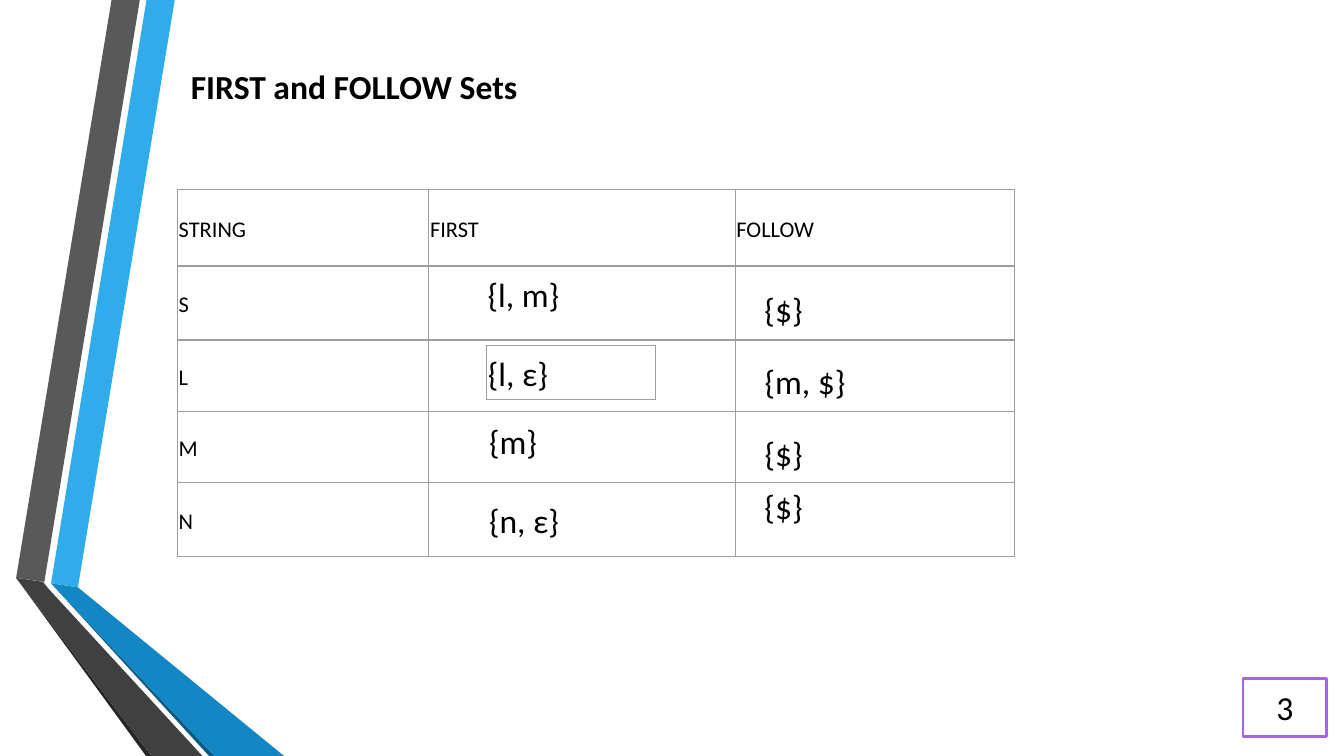
from dataclasses import dataclass

from lxml.etree import SubElement
from pptx import Presentation
from pptx.dml.color import RGBColor
from pptx.enum.shapes import MSO_SHAPE
from pptx.enum.text import MSO_ANCHOR, PP_ALIGN
from pptx.oxml.ns import qn
from pptx.util import Inches, Pt


@dataclass(frozen=True)
class Theme:
    font: str = "Calibri"
    text: str = "000000"
    paper: str = "FFFFFF"
    grid: str = "9E9E9E"
    badge: str = "A666E1"
    blue: str = "30ACEC"
    blue_mid: str = "1287C3"
    blue_dark: str = "0C5A82"
    gray: str = "595959"
    gray_mid: str = "404040"
    gray_dark: str = "262626"
    large: int = 18
    small: int = 12


THEME = Theme()

# Outlines in inches from the top left corner of the ribbon, back to front
RIBBONS = [
    (THEME.blue, [(0.26, 4.34), (0.46, 4.37), (1.18, 0), (0.97, 0)]),
    (THEME.gray, [(0.92, 0), (0.71, 0), (0, 4.3), (0.21, 4.33)]),
    (THEME.gray_dark, [(0, 4.3), (0.97, 5.63), (1.01, 5.63)]),
    (THEME.blue_dark, [(0.26, 4.34), (1.44, 5.63), (1.48, 5.63)]),
    (THEME.blue_mid, [(0.26, 4.34), (1.48, 5.63), (2, 5.63), (0.46, 4.37)]),
    (THEME.gray_mid, [(1.39, 5.63), (0.24, 4.38), (0.2, 4.33), (0, 4.3), (1.01, 5.63)]),
]

COLUMNS = [1.87, 2.28, 2.08]
ROWS = [0.57, 0.55, 0.53, 0.53, 0.55]
SYMBOLS = [["STRING", "FIRST", "FOLLOW"]] + [[name, "", ""] for name in "SLMN"]

# Set text with left, top and width relative to the main table
SETS = [
    ("{l, m}", 2.21, 0.58, 1.02),
    ("{m}", 2.22, 1.67, 1.35),
    ("{n, ε}", 2.22, 2.26, 1.55),
    ("{$}", 4.27, 0.69, 1.34),
    ("{m, $}", 4.27, 1.23, 1.05),
    ("{$}", 4.27, 1.76, 1.05),
    ("{$}", 4.27, 2.16, 0.96),
]


def color(value):
    return RGBColor.from_string(value)


def write(frame, text, size, bold=False, **paragraph_format):
    paragraph = frame.paragraphs[0]
    for name, value in paragraph_format.items():
        setattr(paragraph, name, value)
    run = paragraph.add_run()
    run.text = text
    font_format = {"name": THEME.font, "size": Pt(size), "bold": bold}
    for name, value in font_format.items():
        setattr(run.font, name, value)
    run.font.color.rgb = color(THEME.text)


def add_ribbons(slide, left, top):
    for fill, points in RIBBONS:
        corners = [(Inches(left + x), Inches(top + y)) for x, y in points]
        builder = slide.shapes.build_freeform(*corners[0], scale=1.0)
        builder.add_line_segments(corners[1:], close=True)
        shape = builder.convert_to_shape()
        shape.shadow.inherit = False
        shape.fill.solid()
        shape.fill.fore_color.rgb = color(fill)
        shape.line.fill.background()


def add_borders(cell):
    properties = cell._tc.get_or_add_tcPr()
    for side in ("a:lnL", "a:lnR", "a:lnT", "a:lnB"):
        line = SubElement(properties, qn(side), w=str(Pt(0.75)))
        fill = SubElement(line, qn("a:solidFill"))
        SubElement(fill, qn("a:srgbClr"), val=THEME.grid)


def add_grid(slide, left, top, columns, rows, texts, size):
    box = map(Inches, (left, top, sum(columns), sum(rows)))
    table = slide.shapes.add_table(len(rows), len(columns), *box).table
    table.first_row = table.horz_banding = False
    for column, width in zip(table.columns, columns):
        column.width = Inches(width)
    for row, height, row_texts in zip(table.rows, rows, texts):
        row.height = Inches(height)
        for cell, text in zip(row.cells, row_texts):
            for side in ("left", "right", "top", "bottom"):
                setattr(cell, f"margin_{side}", Inches(0.01))
            cell.vertical_anchor = MSO_ANCHOR.MIDDLE
            add_borders(cell)
            cell.fill.background()
            if text:
                write(cell.text_frame, text, size, line_spacing=1.15, space_after=Pt(8))


def add_title(slide, left, top, width, height):
    title = slide.shapes.title
    box = {"left": left, "top": top, "width": width, "height": height}
    for name, value in box.items():
        setattr(title, name, Inches(value))
    title.text_frame.vertical_anchor = MSO_ANCHOR.MIDDLE
    write(title.text_frame, "FIRST and FOLLOW Sets", THEME.large, True,
          alignment=PP_ALIGN.LEFT)


def add_sets_table(slide, left, top):
    add_grid(slide, left, top, COLUMNS, ROWS, SYMBOLS, THEME.small)
    for text, x, y, width in SETS:
        box = map(Inches, (left + x, top + y, width, 0.4))
        frame = slide.shapes.add_textbox(*box).text_frame
        frame.word_wrap = True
        write(frame, text, THEME.large)
    # The FIRST set of L sits in its own one-cell table
    add_grid(slide, left + 2.3, top + 1.16, [1.26], [0.4], [["{l, ε}"]], THEME.large)


def add_page_number(slide, left, top, width, height):
    box = map(Inches, (left, top, width, height))
    badge = slide.shapes.add_shape(MSO_SHAPE.RECTANGLE, *box)
    badge.shadow.inherit = False
    badge.fill.solid()
    badge.fill.fore_color.rgb = color(THEME.paper)
    badge.line.color.rgb = color(THEME.badge)
    badge.line.width = Pt(1.25)
    badge.text_frame.vertical_anchor = MSO_ANCHOR.MIDDLE
    write(badge.text_frame, "3", THEME.large, alignment=PP_ALIGN.CENTER)


def main():
    presentation = Presentation()
    # Widescreen, 16 to 9
    presentation.slide_width = Inches(10)
    presentation.slide_height = Inches(10) * 9 // 16
    slide = presentation.slides.add_slide(presentation.slide_layouts[5])
    add_ribbons(slide, 0.12, 0)
    add_title(slide, 1.32, 0.44, 6.43, 0.4)
    add_sets_table(slide, 1.32, 1.41)
    add_page_number(slide, 9.25, 5.05, 0.62, 0.43)
    presentation.save("out.pptx")


if __name__ == "__main__":
    main()
